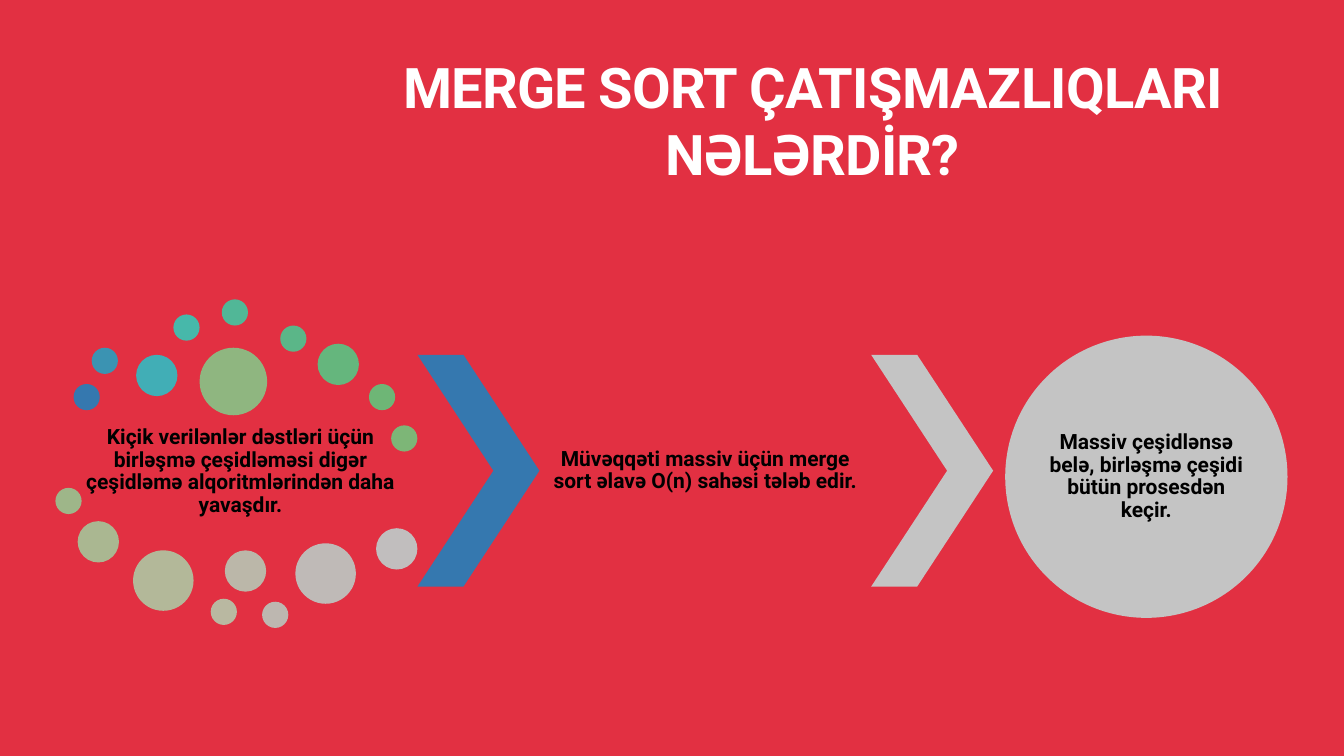
from dataclasses import dataclass

from pptx import Presentation
from pptx.dml.color import RGBColor
from pptx.enum.shapes import MSO_SHAPE
from pptx.enum.text import MSO_ANCHOR, PP_ALIGN
from pptx.util import Inches, Pt


@dataclass(frozen=True)
class Theme:
    font: str = "Roboto"
    background: str = "E23042"
    title: str = "FFFFFF"
    body: str = "000000"
    blue: str = "3578AF"
    grey: str = "C4C4C4"
    title_size: int = 40
    body_size: int = 15
    dots: tuple = (
        "3578AF", "3B93B2", "41AEB6", "47B8AA", "51B797", "5BB688",
        "65B67D", "6EB676", "7DB677", "8FB680", "9EB689", "AAB791",
        "B3B899", "B9B8A1", "BBB7A9", "BDB7B0", "BFBAB7", "C1BEBE",
    )


class SlideBuilder:
    """Draws elements on one slide, measured in columns and rows of a square grid."""

    columns, rows = 133.33, 75

    def __init__(self, deck, theme):
        self.theme = theme
        self.cell = deck.slide_height / self.rows
        self.slide = deck.slides.add_slide(deck.slide_layouts[6])
        fill = self.slide.background.fill
        fill.solid()
        fill.fore_color.rgb = RGBColor.from_string(theme.background)

    def place(self, *lengths):
        return [round(length * self.cell) for length in lengths]

    def shape(self, kind, left, top, width, height, color):
        shape = self.slide.shapes.add_shape(kind, *self.place(left, top, width, height))
        shape.shadow.inherit = False
        shape.fill.solid()
        shape.fill.fore_color.rgb = RGBColor.from_string(color)
        shape.line.fill.background()
        return shape

    def circle(self, left, top, size, color):
        return self.shape(MSO_SHAPE.OVAL, left, top, size, size, color)

    def chevron(self, left, top, width, height, color):
        chevron = self.shape(MSO_SHAPE.CHEVRON, left, top, width, height, color)
        chevron.adjustments[0] = 0.623

    def frame(self, box, inset, anchor):
        frame = box.text_frame
        frame.word_wrap = True
        frame.vertical_anchor = anchor
        frame.margin_left = frame.margin_right = Inches(inset)
        frame.margin_top = frame.margin_bottom = Inches(inset)
        para = frame.paragraphs[0]
        para.alignment = PP_ALIGN.CENTER
        return para

    def span(self, para, text, size, color):
        span = para.add_run()
        span.text = text
        span.font.name = self.theme.font
        span.font.size = Pt(size)
        span.font.bold = True
        span.font.color.rgb = RGBColor.from_string(color)
        return span

    def title(self, left, top, width, height, text):
        box = self.slide.shapes.add_textbox(*self.place(left, top, width, height))
        para = self.frame(box, 0, MSO_ANCHOR.BOTTOM)
        span = self.span(para, text, self.theme.title_size, self.theme.title)
        span.font._element.set("spc", "-50")

    def statement(self, box, text, inset):
        para = self.frame(box, inset, MSO_ANCHOR.MIDDLE)
        para.line_spacing = 0.9
        self.span(para, text, self.theme.body_size, self.theme.body)

    def text(self, left, top, width, height, text):
        box = self.slide.shapes.add_textbox(*self.place(left, top, width, height))
        self.statement(box, text, 0.02)


def main():
    deck = Presentation()
    deck.slide_width, deck.slide_height = Inches(13.33), Inches(7.5)
    theme = Theme()
    page = SlideBuilder(deck, theme)

    page.title(29.8, 4.6, 101.6, 13.9, "MERGE SORT ÇATIŞMAZLIQLARI NƏLƏRDİR?")

    text_width, arrow_width, arrow_height = 32.9, 12.1, 23
    first_arrow, arrow_top = 41.4, 35.2
    second_text = first_arrow + arrow_width
    second_arrow = second_text + text_width

    page.text(7.4, 41.4, text_width, 10.8,
              "Kiçik verilənlər dəstləri üçün birləşmə çeşidləməsi digər "
              "çeşidləmə alqoritmlərindən daha yavaşdır.")

    small, medium, large, largest = 2.6, 4.1, 6, 6.7
    dots = (
        (7.3, 38.1, small), (9.1, 34.5, small), (13.5, 35.2, medium),
        (17.2, 31.2, small), (22, 29.7, small), (27.8, 32.3, small),
        (31.5, 34.1, medium), (36.6, 38.1, small), (38.8, 42.2, small),
        (19.8, 34.5, largest), (5.5, 48.4, small), (7.7, 51.7, medium),
        (13.2, 54.6, large), (20.9, 59.4, small), (22.3, 54.6, medium),
        (26, 59.7, small), (29.3, 53.9, large), (37.3, 52.4, medium),
    )
    for (left, top, size), color in zip(dots, theme.dots):
        page.circle(left, top, size, color)

    for left, color in ((first_arrow, theme.blue), (second_arrow, theme.grey)):
        page.chevron(left, arrow_top, arrow_width, arrow_height, color)

    page.text(second_text, arrow_top, text_width, arrow_height,
              "Müvəqqəti massiv üçün merge sort əlavə O(n) sahəsi tələb edir.")

    result = page.circle(99.7, 33.3, 28, theme.grey)
    page.statement(result, "Massiv çeşidlənsə belə, birləşmə çeşidi bütün prosesdən keçir.", 0)

    deck.save("out.pptx")


if __name__ == "__main__":
    main()
